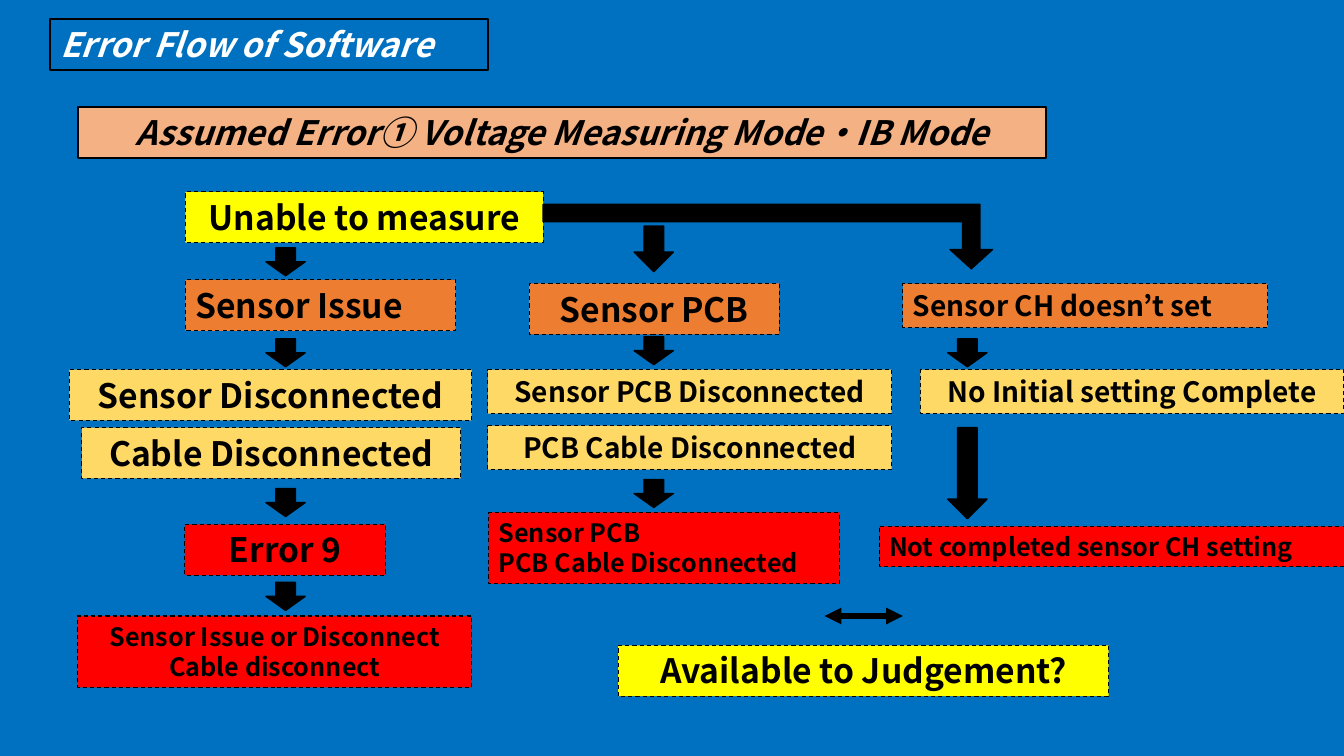
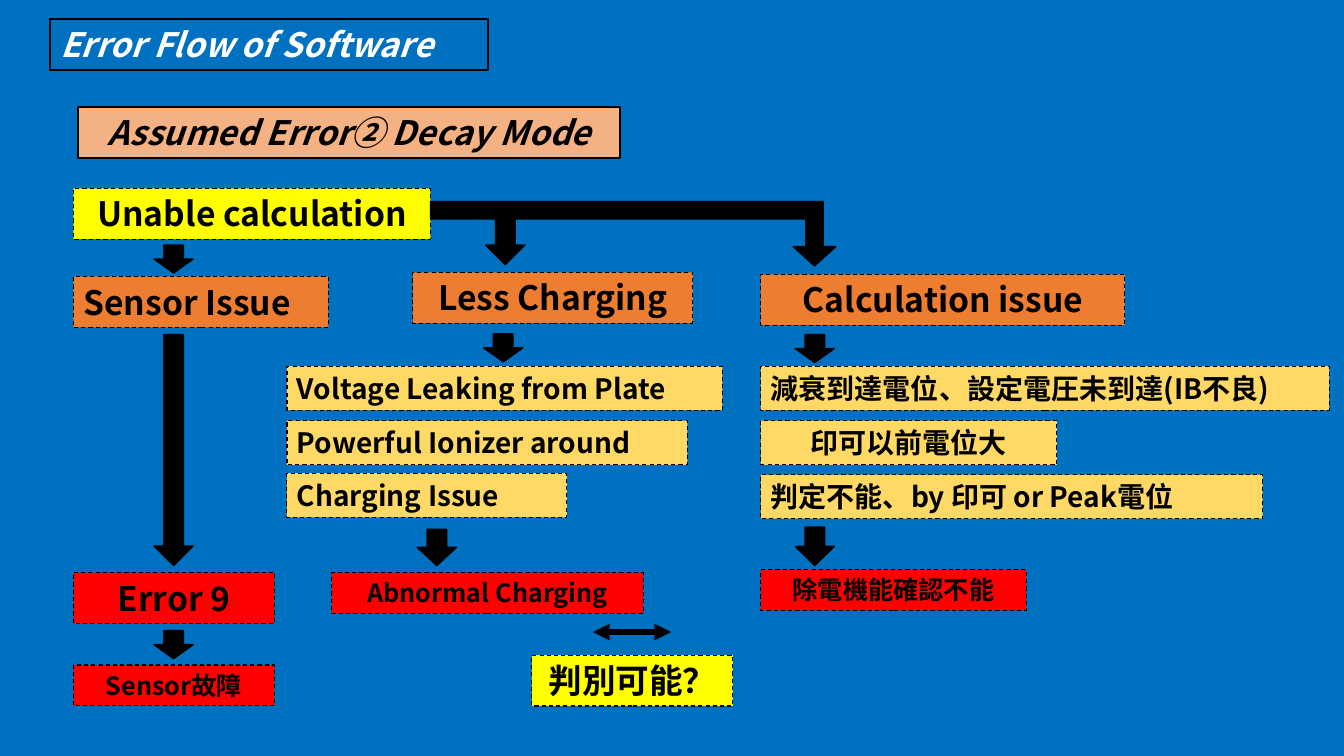
from lxml.etree import SubElement
from pptx import Presentation
from pptx.dml.color import RGBColor
from pptx.enum.dml import MSO_LINE
from pptx.enum.shapes import MSO_CONNECTOR, MSO_SHAPE
from pptx.enum.text import MSO_AUTO_SIZE, PP_ALIGN
from pptx.oxml.ns import qn
from pptx.util import Pt

BLUE = RGBColor(0x00, 0x70, 0xC0)
BLACK = RGBColor(0x00, 0x00, 0x00)
WHITE = RGBColor(0xFF, 0xFF, 0xFF)
PEACH = RGBColor(0xF4, 0xB1, 0x83)
YELLOW = RGBColor(0xFF, 0xFF, 0x00)
ORANGE = RGBColor(0xED, 0x7D, 0x31)
GOLD = RGBColor(0xFF, 0xD9, 0x66)
RED = RGBColor(0xFF, 0x00, 0x00)

FONT = "Noto Sans CJK JP"
LEFT, CENTER = PP_ALIGN.LEFT, PP_ALIGN.CENTER
BOX_HEIGHTS = {24: 36.35, 20: 31.5, 18: 29}
EXTRA_LINE_HEIGHT = 22
ARROW_WIDTH = 28
ELBOW_HEIGHT = 46
ELBOW_ADJUSTMENTS = (0.27, 0.33, 0.3)
JUDGEMENT_ARROW_LENGTH = 56

# Boxes: text, left, top, width, font size, fill, alignment
# Down arrows: left, top, height
SLIDES = [
    {
        "mode": ("Assumed Error① Voltage Measuring Mode・IB Mode", 692),
        "boxes": [
            ("Unable to measure", 132.5, 137, 255.5, 24, YELLOW, CENTER),
            ("Sensor Issue", 132.5, 200, 193, 24, ORANGE, LEFT),
            ("Sensor Disconnected", 49.5, 264, 287.5, 24, GOLD, CENTER),
            ("Cable Disconnected", 58.5, 305.5, 270.5, 24, GOLD, CENTER),
            ("Error 9", 132, 374.5, 143.5, 24, RED, CENTER),
            ("Sensor Issue or Disconnect\nCable disconnect", 55.5, 440, 281.5, 18, RED, CENTER),
            ("Sensor PCB", 378, 202.5, 178.5, 24, ORANGE, CENTER),
            ("Sensor PCB Disconnected", 348.5, 264, 288.5, 20, GOLD, CENTER),
            ("PCB Cable Disconnected", 348.5, 304, 288.5, 20, GOLD, CENTER),
            ("Sensor PCB\nPCB Cable Disconnected", 349, 366, 250.5, 18, RED, LEFT),
            ("Sensor CH doesn’t set", 645, 202.5, 260.5, 20, ORANGE, LEFT),
            ("No Initial setting Complete", 657.5, 264, 302.5, 20, GOLD, CENTER),
            ("Not completed sensor CH setting", 628, 376, 332.5, 18, RED, LEFT),
            ("Available to Judgement?", 441.5, 461, 350.5, 24, YELLOW, CENTER),
        ],
        "down_arrows": [
            (190, 177, 20), (190, 242, 20), (190, 349, 20), (190, 416, 20),
            (453, 161.5, 32.5), (453, 240.5, 20), (453, 342.5, 20),
            (677, 242, 20), (677, 305.5, 65),
        ],
        "elbow": (388, 146, 321),
        "judgement_arrow": (589, 440),
    },
    {
        "mode": ("Assumed Error② Decay Mode", 387.5),
        "boxes": [
            ("Unable calculation", 52.5, 134.5, 255, 24, YELLOW, CENTER),
            ("Sensor Issue", 52.5, 197.5, 182, 24, ORANGE, LEFT),
            ("Error 9", 52.5, 409, 143.5, 24, RED, CENTER),
            ("Sensor故障", 52.5, 475, 143.5, 18, RED, CENTER),
            ("Less Charging", 295, 194.5, 200, 24, ORANGE, CENTER),
            ("Voltage Leaking from Plate", 205, 261.5, 311, 20, GOLD, LEFT),
            ("Powerful Ionizer around", 205, 300.5, 286, 20, GOLD, LEFT),
            ("Charging Issue", 205, 338, 200, 20, GOLD, LEFT),
            ("Abnormal Charging", 237, 409, 222.5, 18, RED, CENTER),
            ("Calculation issue", 543.5, 196, 260, 24, ORANGE, CENTER),
            ("減衰到達電位、設定電圧未到達(IB不良)", 543.5, 261.5, 406, 20, GOLD, LEFT),
            ("印可以前電位大", 543.5, 300.5, 211.5, 20, GOLD, CENTER),
            ("判定不能、by 印可 or Peak電位", 543.5, 339, 358.5, 20, GOLD, LEFT),
            ("除電機能確認不能", 543.5, 407, 189.5, 18, RED, CENTER),
            ("判別可能？", 380, 468, 143.5, 24, YELLOW, CENTER),
        ],
        "down_arrows": [
            (110, 175, 20), (110, 239, 165), (110, 450.5, 20),
            (347, 156.5, 32.5), (345.5, 238.5, 20), (298, 378, 26),
            (568, 239, 20), (568, 376.5, 27.5),
        ],
        "elbow": (307.5, 144, 289.5),
        "judgement_arrow": (423.5, 451.5),
    },
]


def add_box(slide, text, left, top, width, size, fill, alignment, color=BLACK, heading=False):
    """Add an outlined text box; headings are italic with a solid, thicker outline."""
    lines = text.split("\n")
    height = BOX_HEIGHTS[size] + EXTRA_LINE_HEIGHT * (len(lines) - 1)
    box = slide.shapes.add_textbox(Pt(left), Pt(top), Pt(width), Pt(height))
    if fill is not None:
        box.fill.solid()
        box.fill.fore_color.rgb = fill
    box.line.color.rgb = BLACK
    box.line.width = Pt(1.5 if heading else 0.75)
    if not heading:
        box.line.dash_style = MSO_LINE.DASH
    frame = box.text_frame
    frame.word_wrap = True
    frame.auto_size = MSO_AUTO_SIZE.SHAPE_TO_FIT_TEXT
    for index, line in enumerate(lines):
        paragraph = frame.add_paragraph() if index else frame.paragraphs[0]
        paragraph.alignment = alignment
        run = paragraph.add_run()
        run.text = line
        run.font.name = FONT
        run.font.size = Pt(size)
        run.font.bold = True
        run.font.italic = heading
        run.font.color.rgb = color
        SubElement(run.font._element, qn("a:ea"), typeface=FONT)


def add_block_arrow(slide, preset, left, top, width, height):
    arrow = slide.shapes.add_shape(preset, Pt(left), Pt(top), Pt(width), Pt(height))
    arrow.shadow.inherit = False
    arrow.fill.solid()
    arrow.fill.fore_color.rgb = BLACK
    arrow.line.color.rgb = BLACK
    arrow.line.width = Pt(1)
    return arrow


presentation = Presentation()
presentation.slide_width = Pt(960)
presentation.slide_height = Pt(540)

for content in SLIDES:
    slide = presentation.slides.add_slide(presentation.slide_layouts[6])
    slide.background.fill.solid()
    slide.background.fill.fore_color.rgb = BLUE

    add_box(slide, "Error Flow of Software", 36, 13.5, 312.5, 24, None, LEFT, WHITE, heading=True)
    mode_text, mode_width = content["mode"]
    add_box(slide, mode_text, 55.5, 76.5, mode_width, 24, PEACH, CENTER, heading=True)

    for box in content["boxes"]:
        add_box(slide, *box)

    for left, top, height in content["down_arrows"]:
        add_block_arrow(slide, MSO_SHAPE.DOWN_ARROW, left, top, ARROW_WIDTH, height)

    elbow = add_block_arrow(slide, MSO_SHAPE.BENT_UP_ARROW, *content["elbow"], ELBOW_HEIGHT)
    for index, value in enumerate(ELBOW_ADJUSTMENTS):
        elbow.adjustments[index] = value
    elbow.element.spPr.find(qn("a:xfrm")).set("flipV", "1")

    left, top = content["judgement_arrow"]
    connector = slide.shapes.add_connector(
        MSO_CONNECTOR.STRAIGHT, Pt(left), Pt(top), Pt(left + JUDGEMENT_ARROW_LENGTH), Pt(top)
    )
    connector.line.color.rgb = BLACK
    connector.line.width = Pt(4)
    properties = connector.element.spPr
    for end in ("a:headEnd", "a:tailEnd"):
        SubElement(properties.find(qn("a:ln")), qn(end), type="triangle")
    SubElement(properties, qn("a:effectLst"))

presentation.save("out.pptx")
